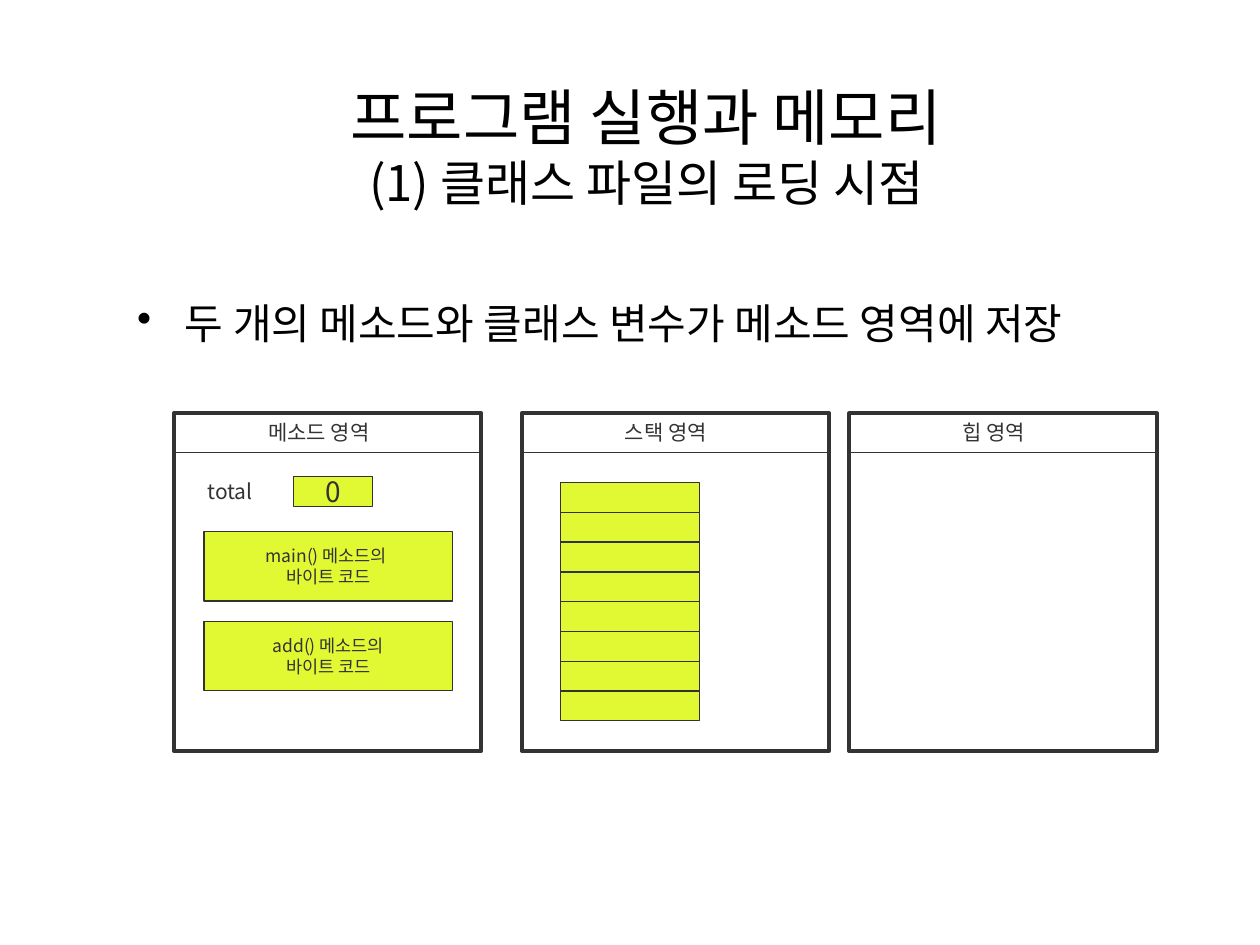
from pptx import Presentation
from pptx import util as u
from pptx.dml import color
from pptx.enum import shapes, text
from pptx.oxml import ns
from lxml import etree

FONT = "Noto Sans CJK KR"
COLORS = {"title": "000000", "ink": "333333", "cell": "E1F933"}
AREA_TOP, AREA_WIDTH, AREA_HEIGHT, HEADER = 3.28, 2.44, 2.68, 0.31


def rgb(name):
    """Return the named colour."""
    return color.RGBColor.from_string(COLORS[name])


def add_child(parent, tag, **attributes):
    """Append a DrawingML element with the given attributes."""
    return etree.SubElement(parent, ns.qn(tag), attributes)


def write_span(para, words, size, ink):
    """Add a formatted run whose font also covers Korean letters."""
    span = para.add_run()
    span.text = words
    for name, value in {"size": u.Pt(size), "name": FONT}.items():
        setattr(span.font, name, value)
    span.font.color.rgb = rgb(ink)
    add_child(span.font._element, "a:ea", typeface=FONT)


def write_lines(frame, lines, size, align):
    """Fill a text frame with one paragraph per line."""
    for index, words in enumerate(lines):
        para = frame.add_paragraph() if index else frame.paragraphs[0]
        para.alignment = align
        write_span(para, words, size, "ink")


def add_text(page, left, top, width, height):
    """Add an empty text box and return its frame."""
    box = page.shapes.add_textbox(*map(u.Inches, (left, top, width, height)))
    return box.text_frame


def add_title(page):
    """Add the centred two-line title."""
    frame = add_text(page, 0.51, 0.76, 9.24, 0.79)
    frame.word_wrap = True
    frame.vertical_anchor = text.MSO_ANCHOR.MIDDLE
    para = frame.paragraphs[0]
    para.alignment = text.PP_ALIGN.CENTER
    write_span(para, "프로그램 실행과 메모리", 35, "title")
    para.add_line_break()
    write_span(para, "(1) 클래스 파일의 로딩 시점", 28, "title")


def add_bullet(page, words):
    """Add the bulleted statement."""
    frame = add_text(page, 0.99, 2.41, 8.5, 0.48)
    layout = {"word_wrap": True, "margin_top": 0, "margin_bottom": 0}
    for name, value in layout.items():
        setattr(frame, name, value)
    para = frame.paragraphs[0]
    para.line_spacing = 0.9
    para.space_before = u.Pt(6)
    properties = para._p.get_or_add_pPr()
    properties.set("marL", str(u.Inches(0.38)))
    properties.set("indent", str(u.Inches(-0.38)))
    add_child(properties, "a:buChar", char="•")
    write_span(para, words, 24, "title")


def add_label(page, left, top, width, words):
    """Add a small unwrapped label."""
    frame = add_text(page, left, top, width, 0.3)
    frame.word_wrap = False
    write_lines(frame, [words], 12, text.PP_ALIGN.LEFT)


def add_box(page, left, top, width, height, fill=None, weight=0.75, lines=(), size=10):
    """Add an outlined rectangle with optional fill and centred text."""
    box = page.shapes.add_shape(
        shapes.MSO_SHAPE.RECTANGLE, *map(u.Inches, (left, top, width, height)))
    box.shadow.inherit = False
    if fill:
        box.fill.solid()
        box.fill.fore_color.rgb = rgb(fill)
    else:
        box.fill.background()
    box.line.color.rgb = rgb("ink")
    box.line.width = u.Pt(weight)
    box.text_frame.word_wrap = False
    box.text_frame.vertical_anchor = text.MSO_ANCHOR.MIDDLE
    write_lines(box.text_frame, lines, size, text.PP_ALIGN.CENTER)
    return box


def add_rule(page, left, top, width):
    """Add a thin horizontal line."""
    rule = page.shapes.add_connector(
        shapes.MSO_CONNECTOR.STRAIGHT, *map(u.Inches, (left, top, left + width, top)))
    rule.line.color.rgb = rgb("ink")
    rule.line.width = u.Pt(0.75)
    add_child(rule._element.spPr, "a:effectLst")
    return rule


def add_area(page, left, label_left, label_width, words):
    """Add a memory area with its header."""
    add_box(page, left, AREA_TOP, AREA_WIDTH, AREA_HEIGHT, weight=2.25)
    add_rule(page, left, AREA_TOP + HEADER, AREA_WIDTH)
    add_label(page, label_left, AREA_TOP, label_width, words)


def add_stack(page, left, top, width, height, rows):
    """Add a rectangle divided into equal rows."""
    stack = add_box(page, left, top, width, height, "cell")
    for row in range(1, rows):
        rule = add_rule(page, left, top + height * row / rows, width)
        if row * 2 == rows:
            rule.begin_connect(stack, 1)
            rule.end_connect(stack, 3)


def main():
    """Build and save the slide."""
    deck = Presentation()
    deck.slide_width, deck.slide_height = u.Inches(10), u.Inches(7.5)
    page = deck.slides.add_slide(deck.slide_layouts[6])
    add_title(page)
    add_bullet(page, "두 개의 메소드와 클래스 변수가 메소드 영역에 저장")
    for area in (
        (1.38, 2.03, 1.05, "메소드 영역"),
        (4.14, 4.86, 0.89, "스택 영역"),
        (6.74, 7.54, 0.73, "힙 영역"),
    ):
        add_area(page, *area)
    add_label(page, 1.55, 3.75, 0.6, "total")
    add_box(page, 2.33, 3.78, 0.63, 0.24, "cell", lines=["0"], size=16)
    for top, method in ((4.22, "main() 메소드의 "), (4.93, "add() 메소드의")):
        add_box(page, 1.62, top, 1.97, 0.55, "cell", lines=[method, "바이트 코드"])
    add_stack(page, 4.45, 3.83, 1.1, 1.89, 8)
    deck.save("out.pptx")


if __name__ == "__main__":
    main()
